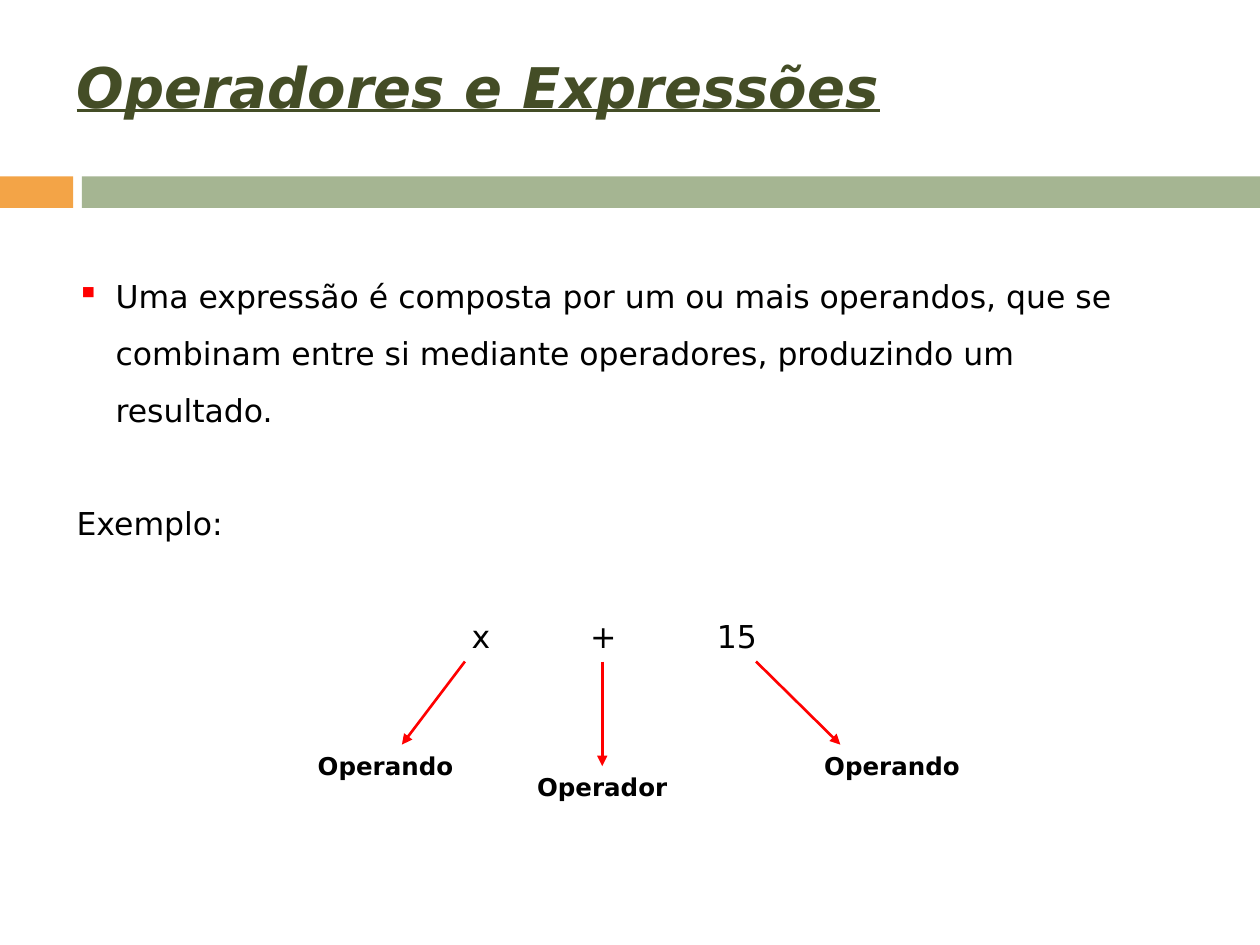
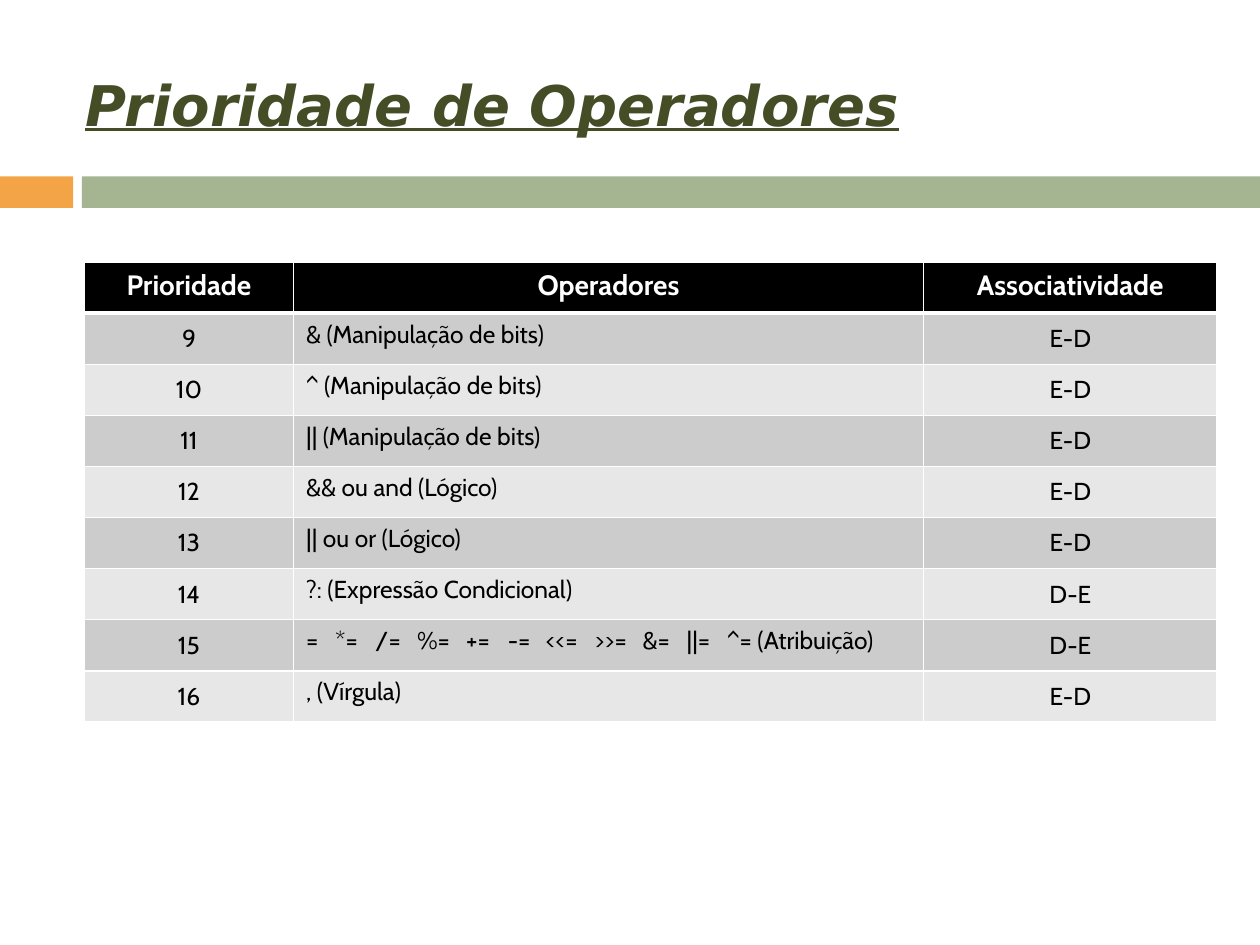
from lxml import etree
from pptx import Presentation
from pptx.dml.color import RGBColor
from pptx.enum.shapes import MSO_CONNECTOR, MSO_SHAPE
from pptx.enum.text import MSO_ANCHOR, PP_ALIGN
from pptx.oxml.ns import qn
from pptx.util import Inches, Pt

LEFT, CENTER = PP_ALIGN.LEFT, PP_ALIGN.CENTER
TOP, MIDDLE = MSO_ANCHOR.TOP, MSO_ANCHOR.MIDDLE
RECTANGLE, STRAIGHT = MSO_SHAPE.RECTANGLE, MSO_CONNECTOR.STRAIGHT

ORANGE, SAGE, OLIVE, RED = "F3A447", "A5B592", "444D26", "FF0000"
BLACK, WHITE, DARK_BAND, LIGHT_BAND = "000000", "FFFFFF", "CCCCCC", "E7E7E7"
TEXT_FONT, TABLE_FONT = "DejaVu Sans", "Cabin"
BODY_SIZE, LABEL_SIZE, LINE_PITCH = 18, 14, 32.4

ASSIGNMENTS = "=\t*=\t/=\t%=\t+=\t-=\t<<=\t>>=\t&=\t||=\t^= (Atribuição)"
ASSIGNMENT_STOPS = (0.23, 0.55, 0.88, 1.27, 1.6, 1.9, 2.29, 2.67, 3.02, 3.34)
PRIORITIES = [
    ("Prioridade", "Operadores", "Associatividade"),
    ("9", "& (Manipulação de bits)", "E-D"),
    ("10", "^ (Manipulação de bits)", "E-D"),
    ("11", "|| (Manipulação de bits)", "E-D"),
    ("12", "&& ou and (Lógico)", "E-D"),
    ("13", "|| ou or (Lógico)", "E-D"),
    ("14", "?: (Expressão Condicional)", "D-E"),
    ("15", ASSIGNMENTS, "D-E"),
    ("16", ", (Vírgula)", "E-D"),
]


def color(value):
    return RGBColor.from_string(value)


def child(parent, tag, **attributes):
    return etree.SubElement(parent, qn(tag), attributes)


class Lesson:
    """Holds the deck, its style and the current slide."""

    def __init__(self):
        self.deck = Presentation()
        self.deck.slide_width, self.deck.slide_height = Inches(10), Inches(7.5)

    def new_page(self, title, left, top):
        self.page = self.deck.slides.add_slide(self.deck.slide_layouts[6])
        self.band(0, 0.58, ORANGE)
        self.band(0.65, 9.35, SAGE)
        frame = self.box(left, top, 6.92, 1).text_frame
        frame.vertical_anchor = MIDDLE
        para = self.fill_para(frame.paragraphs[0], title, 32, OLIVE, bold=True)
        para.font.italic = para.font.underline = True

    def band(self, left, width, fill):
        band = self.page.shapes.add_shape(
            RECTANGLE, Inches(left), Inches(1.4), Inches(width), Inches(0.25))
        band.shadow.inherit = False
        band.fill.solid()
        band.fill.fore_color.rgb = color(fill)
        band.line.fill.background()

    def box(self, left, top, width, height, wrap=True):
        box = self.page.shapes.add_textbox(
            Inches(left), Inches(top), Inches(width), Inches(height))
        box.text_frame.word_wrap = wrap
        return box

    def fill_para(self, para, text, size, tint=BLACK, bold=False, font=TEXT_FONT, align=LEFT):
        para.add_run().text = text
        para.alignment = align
        para.font.size, para.font.name = Pt(size), font
        para.font.bold, para.font.color.rgb = bold, color(tint)
        return para

    def label(self, text, left, top, width):
        box = self.box(left, top, width, 0.34, wrap=False)
        self.fill_para(box.text_frame.paragraphs[0], text, LABEL_SIZE, bold=True, align=CENTER)
        return box

    def body(self, texts, left, top, width, height):
        frame = self.box(left, top, width, height).text_frame
        paras = []
        for index, text in enumerate(texts):
            para = frame.add_paragraph() if index else frame.paragraphs[0]
            self.fill_para(para, text, BODY_SIZE).line_spacing = 1.5
            para.space_before = Pt(LINE_PITCH if index else 0)
            paras.append(para)
        return paras

    def bullet(self, para, mark, tint):
        properties = para._p.get_or_add_pPr()
        properties.set("marL", str(Inches(0.31)))
        properties.set("indent", str(-Inches(0.31)))
        bullet_color = etree.Element(qn("a:buClr"))
        child(bullet_color, "a:srgbClr", val=tint)
        bullet_char = etree.Element(qn("a:buChar"), char=mark)
        defaults = properties.find(qn("a:defRPr"))
        defaults.addprevious(bullet_color)
        defaults.addprevious(bullet_char)

    def tab_stops(self, para, stops, align):
        tabs = etree.Element(qn("a:tabLst"))
        for stop in stops:
            child(tabs, "a:tab", pos=str(Inches(stop)), algn=align)
        para._p.get_or_add_pPr().find(qn("a:defRPr")).addprevious(tabs)

    def arrow(self, start, end, target=None):
        points = [Inches(value) for value in (*start, *end)]
        arrow = self.page.shapes.add_connector(STRAIGHT, *points)
        if target is not None:
            arrow.end_connect(target, 0)
        arrow.line.color.rgb, arrow.line.width = color(RED), Pt(1.5)
        child(arrow.line._get_or_add_ln(), "a:tailEnd", type="triangle")
        child(arrow._element.spPr, "a:effectLst")

    def borders(self, cell, top, bottom):
        properties = cell._tc.get_or_add_tcPr()
        sides = (("a:lnL", 1), ("a:lnR", 1), ("a:lnT", top), ("a:lnB", bottom))
        for index, (tag, width) in enumerate(sides):
            line = etree.Element(qn(tag), w=str(Pt(width)))
            child(child(line, "a:solidFill"), "a:srgbClr", val=WHITE)
            properties.insert(index, line)

    def table(self, rows, left, top, widths, height):
        table = self.page.shapes.add_table(
            len(rows), len(widths), Inches(left), Inches(top),
            Inches(sum(widths)), Inches(height)).table
        for column, width in zip(table.columns, widths):
            column.width = Inches(width)
        for row, texts in enumerate(rows):
            header = row == 0
            fill = BLACK if header else DARK_BAND if row % 2 else LIGHT_BAND
            for column, text in enumerate(texts):
                cell = table.cell(row, column)
                centered = header or column != 1
                cell.vertical_anchor = MIDDLE if centered and not header else TOP
                cell.fill.solid()
                cell.fill.fore_color.rgb = color(fill)
                self.borders(cell, 3 if row == 1 else 1, 3 if header else 1)
                self.fill_para(cell.text_frame.paragraphs[0], text, 16 if header else 14,
                               WHITE if header else BLACK, header, TABLE_FONT,
                               CENTER if centered else LEFT)
        return table


def expressions(lesson):
    lesson.new_page("Operadores e Expressões", 0.51, 0.18)
    definition, _, example = lesson.body([
        "Uma expressão é composta por um ou mais operandos, que se combinam entre si "
        "mediante operadores, produzindo um resultado.",
        "Exemplo:",
        "\tx\t+\t15",
    ], 0.51, 2, 8.74, 3.22)
    lesson.bullet(definition, "▪", RED)
    lesson.tab_stops(example, (3.21, 4.18, 5.24), "ctr")
    lesson.label("Operando", 2.42, 5.91, 1.28)
    lesson.label("Operando", 6.44, 5.91, 1.28)
    operator = lesson.label("Operador", 4.16, 6.08, 1.24)
    lesson.arrow((3.69, 5.25), (3.19, 5.91))
    lesson.arrow((4.78, 5.25), (4.78, 6.08), operator)
    lesson.arrow((6, 5.25), (6.67, 5.91))


def priorities(lesson):
    lesson.new_page("Prioridade de Operadores", 0.58, 0.33)
    table = lesson.table(PRIORITIES, 0.67, 2.08, (1.66, 5, 2.33), 3.65)
    assignments = table.cell(7, 1).text_frame.paragraphs[0]
    lesson.tab_stops(assignments, ASSIGNMENT_STOPS, "l")


def main():
    lesson = Lesson()
    expressions(lesson)
    priorities(lesson)
    lesson.deck.save("out.pptx")


if __name__ == "__main__":
    main()
